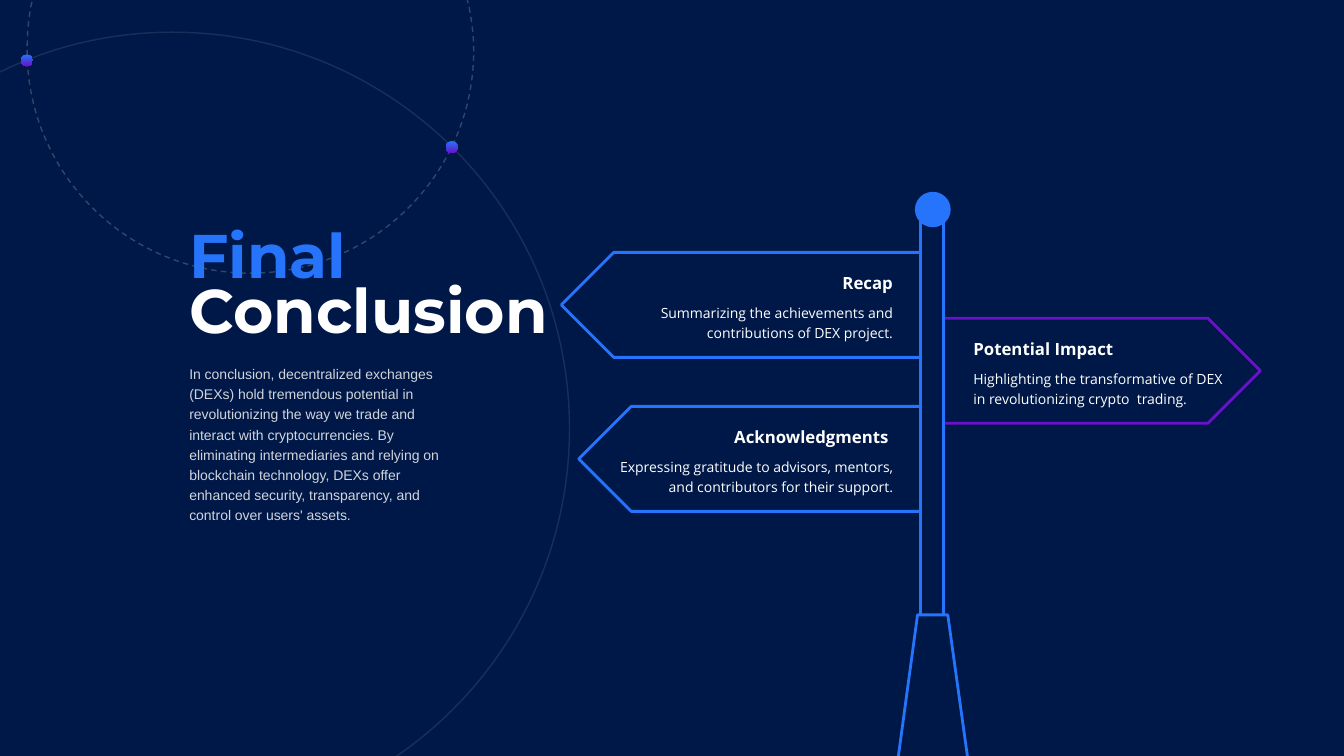
from lxml import etree
from pptx import Presentation
from pptx.dml.color import RGBColor
from pptx.enum.dml import MSO_LINE
from pptx.enum.shapes import MSO_SHAPE
from pptx.enum.text import MSO_ANCHOR, PP_ALIGN
from pptx.oxml.ns import qn
from pptx.util import Pt

PLATE, RECT, OVAL = MSO_SHAPE.PENTAGON, MSO_SHAPE.RECTANGLE, MSO_SHAPE.OVAL
LEFT, RIGHT = PP_ALIGN.LEFT, PP_ALIGN.RIGHT
TOP, MIDDLE = MSO_ANCHOR.TOP, MSO_ANCHOR.MIDDLE
SOLID, DASH = MSO_LINE.SOLID, MSO_LINE.DASH

THEME = {
    "navy": RGBColor.from_string("001847"),
    "blue": RGBColor.from_string("2574FB"),
    "purple": RGBColor.from_string("6A11CA"),
    "white": RGBColor.from_string("FEFFFE"),
    "grey": RGBColor.from_string("D1D5DB"),
    "title": 44, "head": 12, "body": 10,
}


def paint(shape, fill=None, line=None, width=2):
    shape.shadow.inherit = False
    if fill:
        shape.fill.solid()
        shape.fill.fore_color.rgb = THEME[fill]
    else:
        shape.fill.background()
    if line:
        shape.line.color.rgb = THEME[line]
        shape.line.width = Pt(width)
    else:
        shape.line.fill.background()


def write(para, text, size, face, color, bold=False):
    run = para.add_run()
    run.text = text
    run.font.size = Pt(THEME[size])
    run.font.name = face
    run.font.color.rgb = THEME[color]
    run.font.bold = bold
    run.font._element.set("kern", "1200")


deck = Presentation()
deck.slide_width, deck.slide_height = Pt(960), Pt(540)
slide = deck.slides.add_slide(deck.slide_layouts[6])
slide.background.fill.solid()
slide.background.fill.fore_color.rgb = THEME["navy"]
shapes = slide.shapes

# Orbits: dash, opacity, start, then lines (one point) and curves (three points)
orbits = [
    (DASH, 20, (25.2, -7.2), [
        [(331.9, -7.2)], [(334.8, 3.6)],
        [(337, 14.4), (338.4, 25.2), (338.4, 36)],
        [(338.4, 123.8), (267.1, 195.1), (178.9, 195.1)],
        [(90.7, 195.1), (19.4, 123.8), (19.4, 36)],
        [(19.4, 25.2), (20.2, 14.4), (22.3, 3.6)]]),
    (SOLID, 10, (123.1, 23), [
        [(280.1, 23), (406.8, 149.8), (406.8, 306)],
        [(406.8, 403.9), (357.1, 490.3), (281.5, 541.4)],
        [(262.1, 553)], [(-8.6, 553)], [(-8.6, 55.4)], [(0.7, 51.1)],
        [(37.4, 33.1), (79.2, 23), (123.1, 23)]]),
]
for dash, alpha, start, parts in orbits:
    pen = shapes.build_freeform(Pt(start[0]), Pt(start[1]), scale=1.0)
    pen.add_line_segments([(Pt(x), Pt(y)) for x, y in (part[-1] for part in parts)])
    orbit = pen.convert_to_shape()
    for edge, part in zip(list(orbit.element.iter(qn("a:lnTo"))), parts):
        if len(part) == 3:
            edge_new = etree.Element(qn("a:cubicBezTo"))
            for x, y in part:
                spot = etree.SubElement(edge_new, qn("a:pt"))
                spot.set("x", str(Pt(x) - orbit.left))
                spot.set("y", str(Pt(y) - orbit.top))
            edge.getparent().replace(edge, edge_new)
    paint(orbit, line="white", width=1)
    orbit.line.dash_style = dash
    tint = orbit.line.fill._xPr.find(".//" + qn("a:srgbClr"))
    etree.SubElement(tint, qn("a:alpha")).set("val", str(alpha * 1000))

# Planets where the orbits cross
for x, y in [(318.4, 100.8), (14.9, 38.9)]:
    planet = shapes.add_shape(OVAL, Pt(x), Pt(y), Pt(8.6), Pt(8.6))
    paint(planet)
    planet.fill.gradient()
    planet.fill.gradient_angle = 270
    for stop, name, place in zip(planet.fill.gradient_stops, ("blue", "purple"), (0, 1)):
        stop.color.rgb = THEME[name]
        stop.position = place

# Title and summary
title = shapes.add_textbox(Pt(135.2), Pt(151.9), Pt(265.7), Pt(103.7))
summary = shapes.add_textbox(Pt(135.2), Pt(255.2), Pt(185), Pt(108))
for box, top, bottom, pitch in [(title, 15.1, 0, 0.75), (summary, 3.6, 3.6, 1.2)]:
    frame = box.text_frame
    frame.word_wrap = True
    frame.vertical_anchor = TOP
    frame.margin_left = frame.margin_right = 0
    frame.margin_top, frame.margin_bottom = Pt(top), Pt(bottom)
    frame.paragraphs[0].line_spacing = pitch
para = title.text_frame.paragraphs[0]
write(para, "Final ", "title", "Montserrat", "blue", True)
para.add_line_break()
write(para, "Conclusion", "title", "Montserrat", "white", True)
write(
    summary.text_frame.paragraphs[0],
    "In conclusion, decentralized exchanges (DEXs) hold tremendous potential in "
    "revolutionizing the way we trade and interact with cryptocurrencies. By "
    "eliminating intermediaries and relying on blockchain technology, DEXs offer "
    "enhanced security, transparency, and control over users' assets.",
    "body", "Arial", "grey",
)

# Signs: left, top, width, line, side they point to, heading, text
signs = [
    (401, 180.3, 259.2, "blue", LEFT, "Recap",
     "Summarizing the achievements and contributions of DEX project."),
    (413.4, 290.3, 246.8, "blue", LEFT, "Acknowledgments ",
     "Expressing gratitude to advisors, mentors, and contributors for their support."),
    (672.8, 227.3, 227.5, "purple", RIGHT, "Potential Impact",
     "Highlighting the transformative of DEX in revolutionizing crypto  trading."),
]
for x, y, wide, line, side, head, text in signs:
    sign = shapes.add_shape(PLATE, Pt(x), Pt(y), Pt(wide), Pt(75))
    sign.adjustments[0] = 0.5
    paint(sign, "navy", line)
    frame = sign.text_frame
    frame.word_wrap = True
    frame.vertical_anchor = MIDDLE
    frame.margin_top = frame.margin_bottom = Pt(3.6)
    if side == LEFT:
        sign.element.spPr.find(qn("a:xfrm")).set("flipH", "1")
        frame.margin_left, frame.margin_right = Pt(5.8), Pt(22.3)
    else:
        frame.margin_left, frame.margin_right = Pt(22.5), Pt(7.2)
    first, body = frame.paragraphs[0], frame.add_paragraph()
    for para in (first, body):
        para.alignment = RIGHT if side == LEFT else LEFT
        para.line_spacing = 1.2
    body.space_before = Pt(6)
    write(first, head, "head", "Open Sans", "white", True)
    write(body, text, "body", "Open Sans", "white")

# Post, foot and knob
post = shapes.add_shape(RECT, Pt(657.4), Pt(154), Pt(16.6), Pt(292.4))
paint(post, "navy", "blue")
pen = shapes.build_freeform(Pt(677), Pt(439.2), scale=1.0)
pen.add_line_segments([(Pt(x), Pt(y)) for x, y in
                       [(691.2, 541.5), (641.5, 541.5), (655.4, 439.2)]])
paint(pen.convert_to_shape(), "navy", "blue")
knob = shapes.add_shape(OVAL, Pt(653.5), Pt(137), Pt(25.6), Pt(25.3))
paint(knob, "blue")

deck.save("out.pptx")
